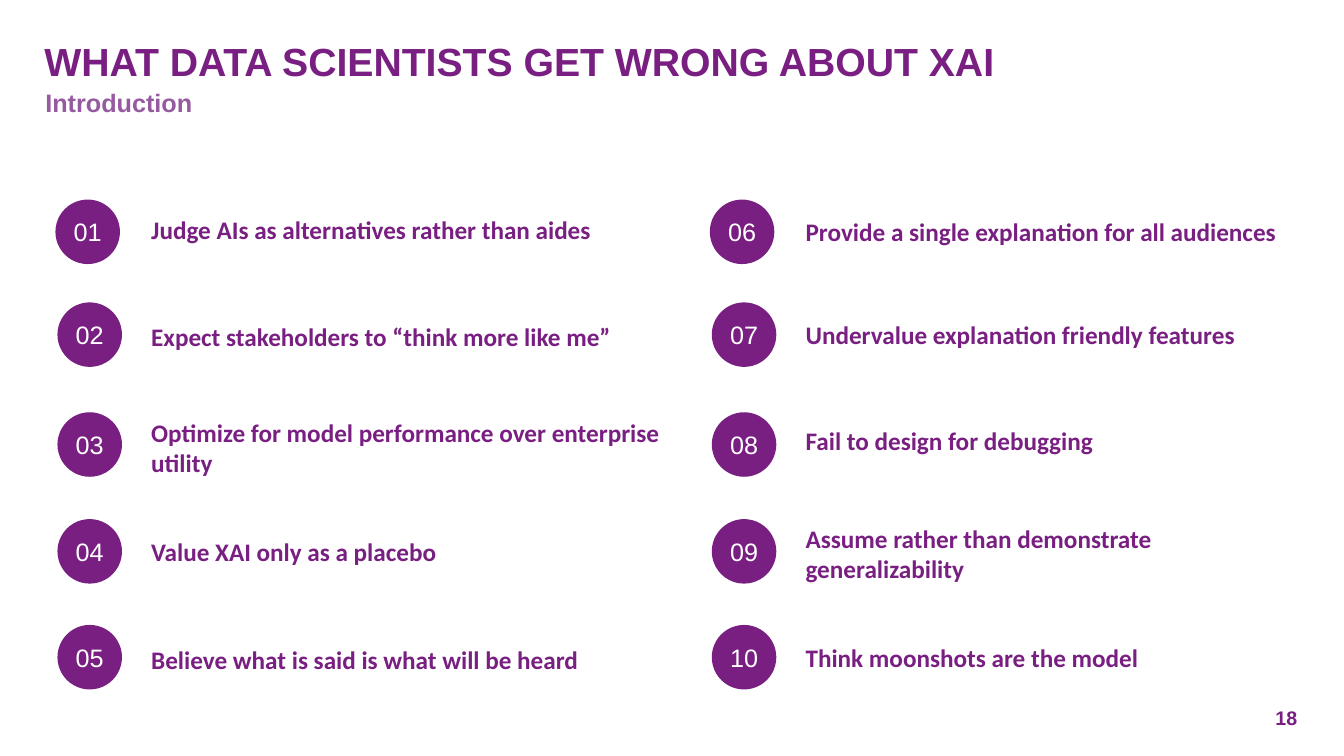
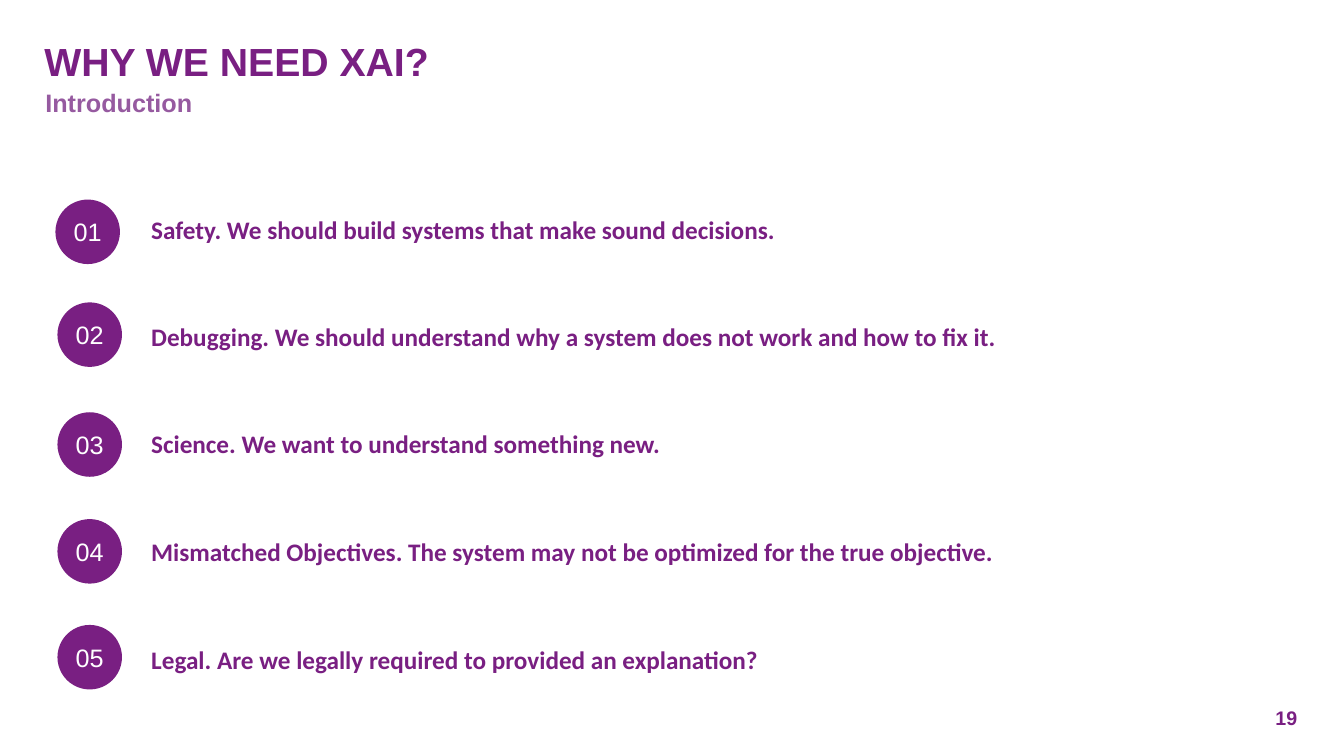
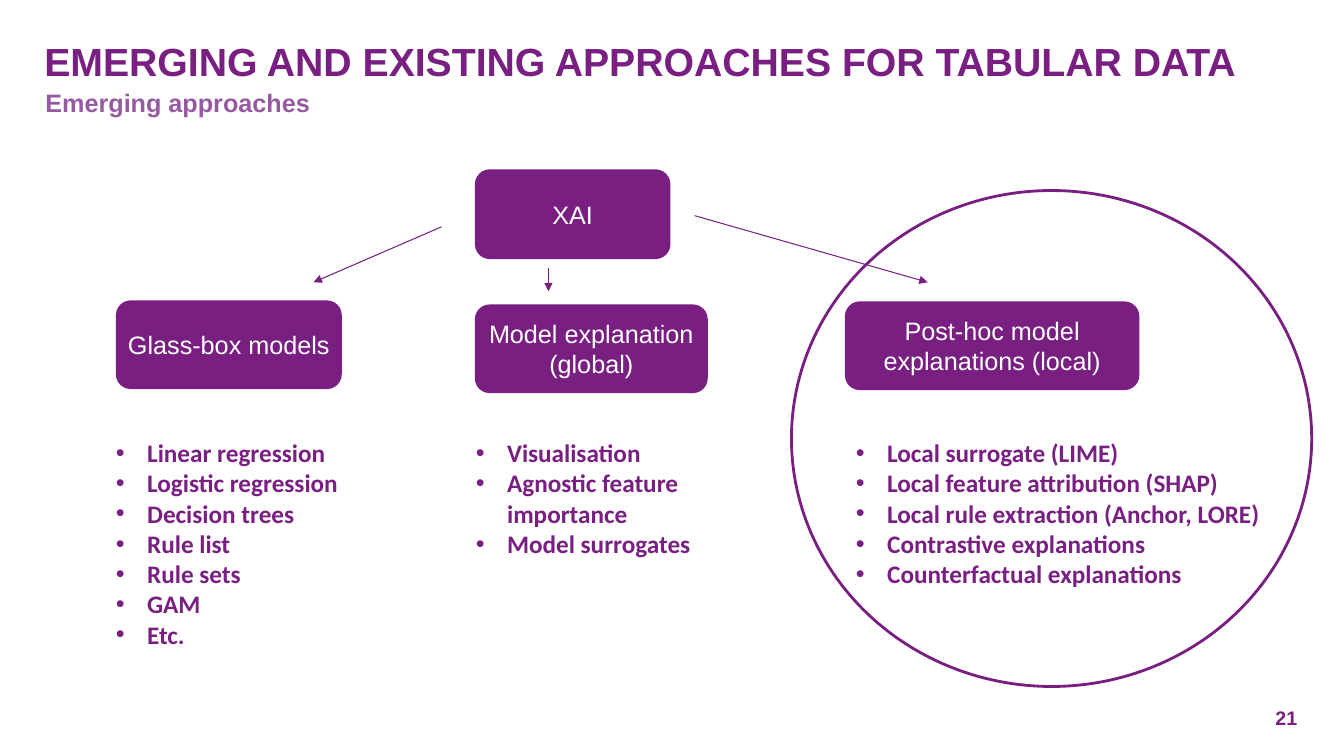
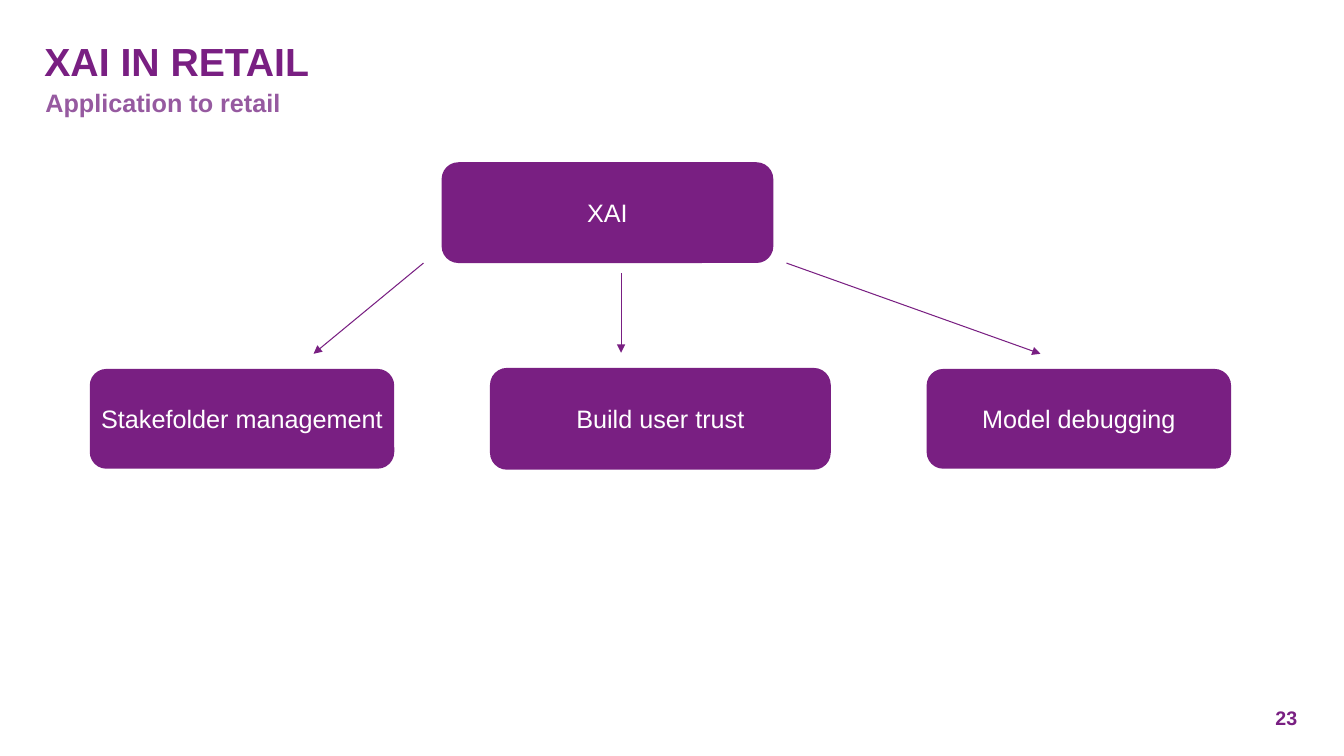
import pptx
import pptx.dml.color
import pptx.enum.shapes
import pptx.enum.text
import pptx.oxml
import pptx.oxml.ns
import pptx.util
from pptx.util import Inches

PURPLE = pptx.dml.color.RGBColor(0x79, 0x1F, 0x82)
LILAC = pptx.dml.color.RGBColor(0x96, 0x5A, 0xA0)
WHITE = pptx.dml.color.RGBColor(0xFF, 0xFF, 0xFF)
HEADING_FONT = "Arial"
BODY_FONT = "Calibri"
SHAPES = pptx.enum.shapes.MSO_SHAPE
ALIGN = pptx.enum.text.PP_ALIGN
ANCHOR = pptx.enum.text.MSO_ANCHOR

BULLET_INDENT = Inches(0.31)
BADGE_SIZE = 0.64
BADGE_TOPS = (1.98, 3, 4.09, 5.15, 6.2)
FIRST_COLUMN, SECOND_COLUMN = 0.55, 7.04


def add_bullet(para):
    properties = para._p.get_or_add_pPr()
    properties.set("marL", str(BULLET_INDENT))
    properties.set("indent", str(-BULLET_INDENT))
    for tag, name, value in (("buFont", "typeface", "Arial"), ("buChar", "char", "•")):
        element = pptx.oxml.parse_xml(f'<a:{tag} {pptx.oxml.ns.nsdecls("a")} {name}="{value}"/>')
        properties.append(element)


def write(frame, *lines, font=HEADING_FONT, size=18, color=PURPLE, bold=True,
          align=ALIGN.LEFT, anchor=ANCHOR.TOP, spacing=None, bullets=False):
    """Fill a text frame with one paragraph a line."""
    frame.word_wrap = True
    frame.auto_size = pptx.enum.text.MSO_AUTO_SIZE.NONE
    frame.vertical_anchor = anchor
    frame.margin_left = frame.margin_top = frame.margin_right = frame.margin_bottom = 0
    for index, line in enumerate(lines):
        para = frame.add_paragraph() if index else frame.paragraphs[0]
        if bullets:
            add_bullet(para)
        para.alignment = align
        if spacing:
            para.line_spacing = spacing
        span = para.add_run()
        span.text = line
        span.font.name = font
        span.font.size = pptx.util.Pt(size)
        span.font.bold = bold
        span.font.color.rgb = color


class Presenter:
    """Holds the deck, its style and the slide being built."""

    def __init__(self):
        self.deck = pptx.Presentation()
        self.deck.slide_width = Inches(13.33)
        self.deck.slide_height = Inches(7.5)
        self.page = None

    def start_page(self, title, subtitle, number):
        self.page = self.deck.slides.add_slide(self.deck.slide_layouts[5])
        box = self.page.shapes.title
        box.left, box.top, box.width, box.height = map(Inches, (0.44, 0.29, 12.42, 0.55))
        write(box.text_frame, title, size=28, anchor=ANCHOR.BOTTOM)
        self.text(0.45, 0.81, 12.41, 0.47, subtitle, color=LILAC, spacing=1.2)
        self.text(12.65, 7.03, 0.36, 0.21, str(number), size=14, anchor=ANCHOR.BOTTOM)

    def text(self, left, top, width, height, *lines, **style):
        box = self.page.shapes.add_textbox(*map(Inches, (left, top, width, height)))
        write(box.text_frame, *lines, **style)

    def filled(self, kind, left, top, width, height, label):
        shape = self.page.shapes.add_shape(kind, *map(Inches, (left, top, width, height)))
        shape.shadow.inherit = False
        shape.fill.solid()
        shape.fill.fore_color.rgb = PURPLE
        shape.line.fill.background()
        write(shape.text_frame, label, color=WHITE, bold=False,
              align=ALIGN.CENTER, anchor=ANCHOR.MIDDLE)

    def node(self, left, top, width, height, label):
        self.filled(SHAPES.ROUNDED_RECTANGLE, left, top, width, height, label)

    def ring(self, left, top, width, height):
        shape = self.page.shapes.add_shape(SHAPES.OVAL, *map(Inches, (left, top, width, height)))
        shape.shadow.inherit = False
        shape.fill.background()
        shape.line.color.rgb = PURPLE
        shape.line.width = pptx.util.Pt(2)

    def bullets(self, left, width, height, *lines):
        self.text(left, 4.34, width, height, *lines, font=BODY_FONT, bullets=True)

    def arrow(self, *ends):
        line = self.page.shapes.add_connector(
            pptx.enum.shapes.MSO_CONNECTOR.STRAIGHT, *map(Inches, ends))
        line.line.color.rgb = PURPLE
        line.line.width = pptx.util.Pt(0.75)
        namespace = pptx.oxml.ns.nsdecls("a")
        line.line._get_or_add_ln().append(
            pptx.oxml.parse_xml(f'<a:tailEnd {namespace} type="triangle"/>'))
        line._element.spPr.append(pptx.oxml.parse_xml(f"<a:effectLst {namespace}/>"))

    def numbered_column(self, left, width, items, first=1):
        """Draw numbered badges, each beside its (text top, text) item."""
        for row, (badge_top, (text_top, label)) in enumerate(zip(BADGE_TOPS, items)):
            badge_left = left + (0.02 if row else 0)
            self.filled(SHAPES.OVAL, badge_left, badge_top, BADGE_SIZE, BADGE_SIZE,
                        f"{first + row:02d}")
            self.text(left + 0.95, text_top, width, 0.64, label, font=BODY_FONT)


def add_mistakes(show):
    show.start_page("WHAT DATA SCIENTISTS GET WRONG ABOUT XAI", "Introduction", 18)
    show.numbered_column(FIRST_COLUMN, 5.1, (
        (2.13, "Judge AIs as alternatives rather than aides"),
        (3.19, "Expect stakeholders to “think more like me”"),
        (4.14, "Optimize for model performance over enterprise utility"),
        (5.32, "Value XAI only as a placebo"),
        (6.39, "Believe what is said is what will be heard"),
    ))
    show.numbered_column(SECOND_COLUMN, 4.94, (
        (2.15, "Provide a single explanation for all audiences"),
        (3.17, "Undervalue explanation friendly features"),
        (4.22, "Fail to design for debugging"),
        (5.19, "Assume rather than demonstrate generalizability"),
        (6.37, "Think moonshots are the model"),
    ), first=6)


def add_reasons(show):
    show.start_page("WHY WE NEED XAI?", "Introduction", 19)
    show.numbered_column(FIRST_COLUMN, 9.7, (
        (2.13, "Safety. We should build systems that make sound decisions."),
        (3.19, "Debugging. We should understand why a system does not work and how to fix it."),
        (4.25, "Science. We want to understand something new."),
        (5.32, "Mismatched Objectives. The system may not be optimized for the true objective."),
        (6.39, "Legal. Are we legally required to provided an explanation?"),
    ))


def add_approaches(show):
    show.start_page("EMERGING AND EXISTING APPROACHES FOR TABULAR DATA",
                    "Emerging approaches", 21)
    show.node(4.71, 1.68, 1.94, 0.89, "XAI")
    show.node(1.15, 2.98, 2.24, 0.88, "Glass-box models")
    show.bullets(1.15, 2.46, 2.24, "Linear regression", "Logistic regression",
                 "Decision trees", "Rule list", "Rule sets", "GAM", "Etc.")
    show.node(4.71, 3.02, 2.31, 0.88, "Model explanation (global)")
    show.bullets(4.72, 2.76, 2.36, "Visualisation", "Agnostic feature importance",
                 "Model surrogates")
    show.node(8.38, 2.99, 2.92, 0.88, "Post-hoc model explanations (local)")
    show.bullets(8.49, 4.53, 2.48, "Local surrogate (LIME)",
                 "Local feature attribution (SHAP)",
                 "Local rule extraction (Anchor, LORE)",
                 "Contrastive explanations", "Counterfactual explanations")
    show.arrow(4.38, 2.25, 3.11, 2.8)
    show.arrow(5.44, 2.66, 5.44, 2.89)
    show.arrow(6.89, 2.14, 9.2, 2.8)
    show.ring(7.85, 1.89, 5.16, 4.92)


def add_retail(show):
    show.start_page("XAI IN RETAIL", "Application to retail", 23)
    show.node(4.38, 1.61, 3.29, 1, "XAI")
    show.node(0.89, 3.66, 3.02, 0.99, "Stakefolder management")
    show.node(4.86, 3.65, 3.38, 1.01, "Build user trust")
    show.node(9.19, 3.66, 3.02, 0.99, "Model debugging")
    show.arrow(4.2, 2.61, 3.11, 3.51)
    show.arrow(6.16, 2.71, 6.16, 3.5)
    show.arrow(7.8, 2.61, 10.32, 3.51)


def main():
    show = Presenter()
    for add_page in (add_mistakes, add_reasons, add_approaches, add_retail):
        add_page(show)
    show.deck.save("out.pptx")


if __name__ == "__main__":
    main()
